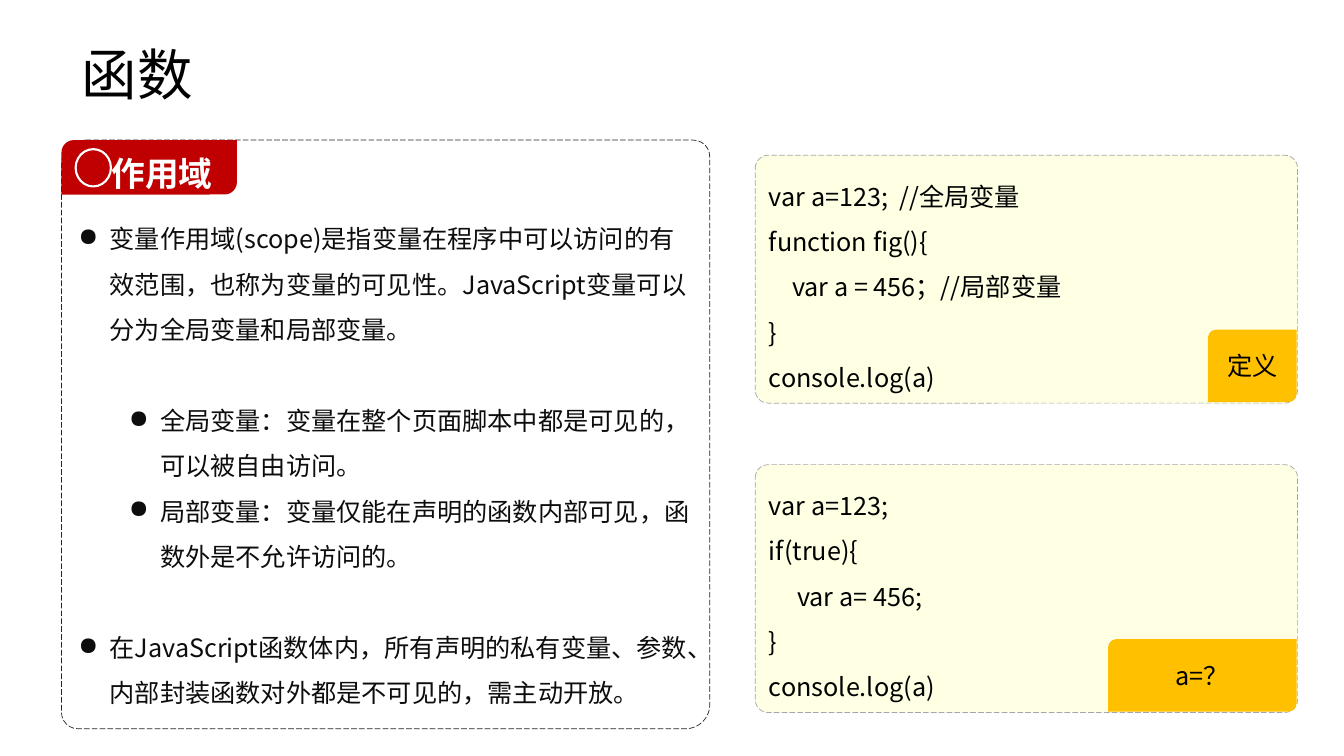
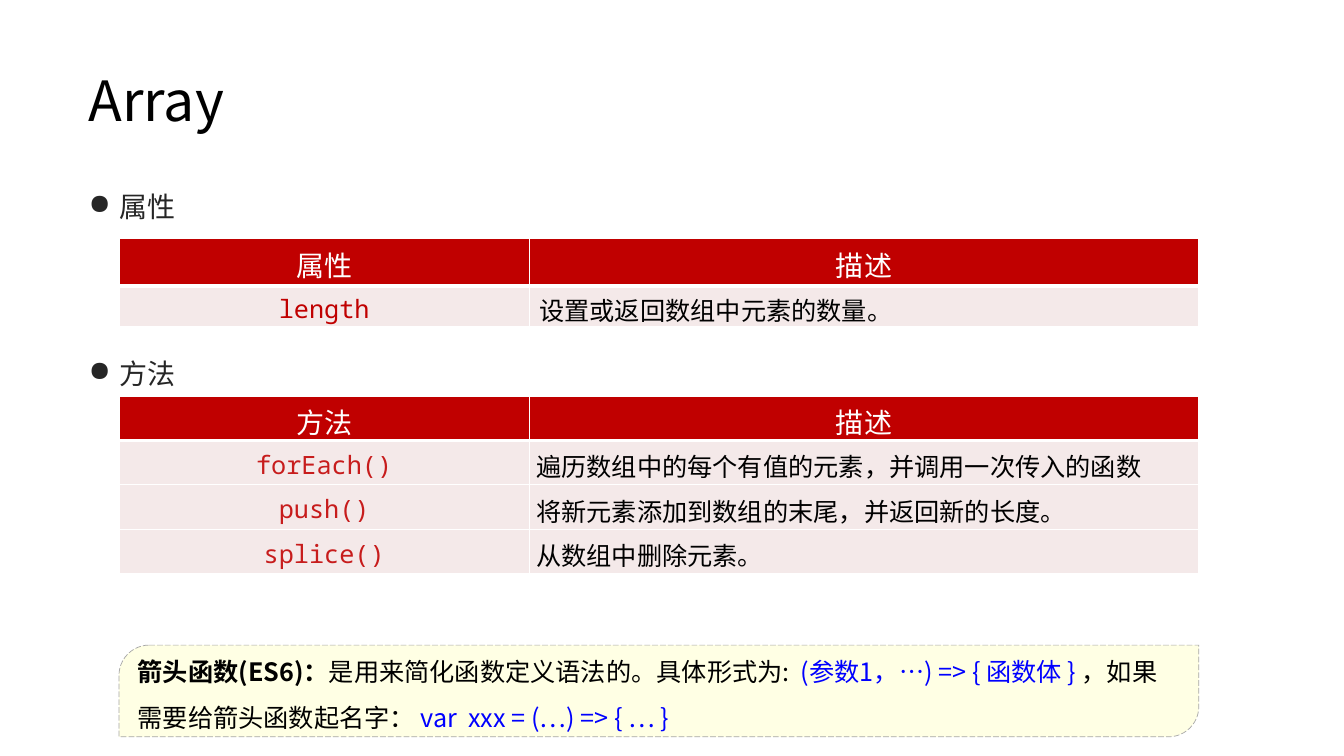
import dataclasses

import lxml.etree
import pptx
import pptx.dml.color
import pptx.enum.dml
import pptx.enum.shapes
import pptx.enum.text
import pptx.oxml.ns
import pptx.util

Inches = pptx.util.Inches
Pt = pptx.util.Pt
qn = pptx.oxml.ns.qn
Shapes = pptx.enum.shapes.MSO_SHAPE
Align = pptx.enum.text.PP_ALIGN
Anchor = pptx.enum.text.MSO_ANCHOR


@dataclasses.dataclass(frozen=True)
class Theme:
    black: str = "000000"
    white: str = "FFFFFF"
    body: str = "0D0D0D"
    dark: str = "262626"
    grey: str = "A6A6A6"
    red: str = "C00000"
    method_red: str = "C71C1C"
    blue: str = "0000FF"
    cream: str = "FFFFE4"
    amber: str = "FFC000"
    pink: str = "F4E9E9"
    title_font: str = "Noto Sans CJK SC"
    text_font: str = "Noto Sans CJK JP"
    code_font: str = "Noto Sans Mono"
    title_size: float = 39.6
    label_size: float = 24
    heading_size: float = 20
    text_size: float = 18


theme = Theme()


def write_text(frame, paragraphs, margins=None, anchor=Anchor.MIDDLE, **base):
    """Each paragraph is (runs, settings); each run is (text, format)."""
    frame.word_wrap = True
    frame.vertical_anchor = anchor
    for side, inches in (margins or {}).items():
        setattr(frame, f"margin_{side}", Inches(inches))
    for index, (runs, settings) in enumerate(paragraphs):
        paragraph = frame.paragraphs[0] if index == 0 else frame.add_paragraph()
        settings = {"alignment": Align.LEFT, "line_spacing": 1.5, **settings}
        indent = settings.pop("indent", 0)
        bullet = settings.pop("bullet", False)
        for name, value in settings.items():
            setattr(paragraph, name, value)
        properties = paragraph._p.get_or_add_pPr()
        properties.set("marL", str(Inches(indent)))
        properties.set("indent", str(Inches(-0.31 if bullet else 0)))
        if bullet:
            lxml.etree.SubElement(properties, qn("a:buChar")).set("char", "●")
        for text, changes in runs:
            look = {"size": theme.text_size, "color": theme.black, "bold": False,
                    "name": theme.text_font, **base, **changes}
            run = paragraph.add_run()
            run.text = text
            run.font.color.rgb = pptx.dml.color.RGBColor.from_string(look.pop("color"))
            look["size"] = Pt(look["size"])
            for name, value in look.items():
                setattr(run.font, name, value)
            east_asian = lxml.etree.SubElement(run._r.get_or_add_rPr(), qn("a:ea"))
            east_asian.set("typeface", look["name"])


def add_box(shapes, kind, place, adjustments=(), fill=None, line=None, width=0.5, dashed=True):
    shape = shapes.add_shape(kind, *map(Inches, place))
    shape.shadow.inherit = False
    for index, value in enumerate(adjustments):
        shape.adjustments[index] = value
    if fill:
        shape.fill.solid()
        shape.fill.fore_color.rgb = pptx.dml.color.RGBColor.from_string(fill)
    else:
        shape.fill.background()
    if line:
        shape.line.color.rgb = pptx.dml.color.RGBColor.from_string(line)
        shape.line.width = Pt(width)
        if dashed:
            shape.line.dash_style = pptx.enum.dml.MSO_LINE.LONG_DASH
    else:
        shape.line.fill.background()
    return shape


presentation = pptx.Presentation()
presentation.slide_width = Inches(13.33)
presentation.slide_height = Inches(7.5)

# Titles
slides = []
for title, place in (("函数", (0.71, 0.48, 11.7, 0.57)), ("Array", (0.78, 0.74, 11.8, 0.57))):
    slide = presentation.slides.add_slide(presentation.slide_layouts[5])
    placeholder = slide.shapes.title
    for name, value in zip(("left", "top", "width", "height"), place):
        setattr(placeholder, name, Inches(value))
    write_text(placeholder.text_frame, [([(title, {})], {"line_spacing": 0.9})],
               size=theme.title_size, name=theme.title_font)
    slides.append(slide)
function_slide, array_slide = slides

# Code boxes, each with a tag in its lower right corner
code_boxes = [
    (1.54, "定义", 0.88,
     [("var a=123;  //全局变量", 0), ("function fig(){", 0),
      ("var a = 456；//局部变量", 0.23), ("}", 0), ("console.log(a)", 0)]),
    (4.61, "a=？", 1.87,
     [("var a=123;", 0), ("if(true){", 0), ("var a= 456;", 0.28),
      ("}", 0), ("console.log(a)", 0)]),
]
for top, tag_text, tag_width, code_lines in code_boxes:
    group = function_slide.shapes.add_group_shape()
    code_box = add_box(group.shapes, Shapes.ROUNDED_RECTANGLE, (7.49, top, 5.38, 2.46),
                       (0.053,), theme.cream, theme.grey)
    write_text(code_box.text_frame,
               [([(text, {})], {"indent": indent}) for text, indent in code_lines],
               {"top": 0, "bottom": 0})
    tag = add_box(group.shapes, Shapes.ROUND_2_DIAG_RECTANGLE,
                  (12.86 - tag_width, top + 1.73, tag_width, 0.72), (0.114, 0), theme.amber)
    write_text(tag.text_frame,
               [([(tag_text, {})], {"alignment": Align.CENTER, "line_spacing": 1.0})])

# Scope panel: the larger gaps are one line high
line_gap = Pt(32.5)
scope_points = [
    ("变量作用域(scope)是指变量在程序中可以访问的有效范围，也称为变量的可见性。"
     "JavaScript变量可以分为全局变量和局部变量。", 0.31, Pt(6)),
    ("全局变量：变量在整个页面脚本中都是可见的，可以被自由访问。", 0.81, line_gap),
    ("局部变量：变量仅能在声明的函数内部可见，函数外是不允许访问的。", 0.81, Pt(0)),
    ("在JavaScript函数体内，所有声明的私有变量、参数、内部封装函数对外都是不可见的，需主动开放。",
     0.31, line_gap),
]
group = function_slide.shapes.add_group_shape()
panel = add_box(group.shapes, Shapes.ROUND_2_DIAG_RECTANGLE, (0.61, 1.39, 6.43, 5.84),
                (0.041, 0.028), line=theme.dark)
write_text(panel.text_frame,
           [([(text, {})], {"indent": indent, "space_before": gap, "bullet": True})
            for text, indent, gap in scope_points],
           {"top": 0.63, "bottom": 0.16}, color=theme.body)
label = add_box(group.shapes, Shapes.ROUND_2_DIAG_RECTANGLE, (0.61, 1.39, 1.74, 0.54),
                (0.227, 0), theme.red)
write_text(label.text_frame, [([("作用域", {})], {})],
           {"left": 0.46, "right": 0.04, "top": 0, "bottom": 0.08},
           size=theme.label_size, color=theme.white, bold=True)
add_box(group.shapes, Shapes.OVAL, (0.75, 1.48, 0.35, 0.37),
        line=theme.white, width=1.5, dashed=False)

# Section headings
for text, top in (("属性", 1.66), ("方法", 3.32)):
    heading = array_slide.shapes.add_textbox(*map(Inches, (0.78, top, 11.8, 0.57)))
    write_text(heading.text_frame,
               [([(text, {})], {"indent": 0.31, "space_before": Pt(4), "bullet": True})],
               anchor=Anchor.TOP, size=theme.heading_size, color=theme.dark)

# Tables: top, row heights, body cell margin, code colour, rows
tables = [
    (2.37, (0.47, 0.39), None, theme.red,
     [("属性", "描述"), ("length", "设置或返回数组中元素的数量。")]),
    (3.93, (0.44, 0.37, 0.37, 0.37), 0.07, theme.method_red,
     [("方法", "描述"),
      ("forEach()", "遍历数组中的每个有值的元素，并调用一次传入的函数"),
      ("push()", "将新元素添加到数组的末尾，并返回新的长度。"),
      ("splice()", "从数组中删除元素。")]),
]
for top, heights, cell_margin, code_color, rows in tables:
    table = array_slide.shapes.add_table(
        len(rows), 2, *map(Inches, (1.18, top, 10.71, sum(heights)))).table
    table.horz_banding = False
    for column, width in zip(table.columns, (4.07, 6.64)):
        column.width = Inches(width)
    for row_index, (height, texts) in enumerate(zip(heights, rows)):
        table.rows[row_index].height = Inches(height)
        is_header = row_index == 0
        for column_index, text in enumerate(texts):
            cell = table.cell(row_index, column_index)
            is_code = column_index == 0 and not is_header
            look = {}
            if is_header:
                look = {"size": theme.heading_size, "color": theme.white,
                        "name": (theme.text_font, theme.title_font)[column_index]}
            elif is_code:
                look = {"color": code_color, "name": theme.code_font}
            centered = is_header or is_code
            write_text(cell.text_frame,
                       [([(text, look)], {"line_spacing": 1.0,
                                          "alignment": Align.CENTER if centered else Align.LEFT})])
            cell.vertical_anchor = Anchor.MIDDLE
            if cell_margin and not is_header:
                for side in ("left", "right", "top", "bottom"):
                    setattr(cell, f"margin_{side}", Inches(cell_margin))
            # White borders, thicker below the header
            properties = cell._tc.get_or_add_tcPr()
            for side in "LRTB":
                border = lxml.etree.SubElement(properties, qn(f"a:ln{side}"))
                border.set("w", str(Pt(3 if is_header and side == "B" else 1)))
                border_fill = lxml.etree.SubElement(border, qn("a:solidFill"))
                lxml.etree.SubElement(border_fill, qn("a:srgbClr")).set("val", theme.white)
            cell.fill.solid()
            cell.fill.fore_color.rgb = pptx.dml.color.RGBColor.from_string(
                theme.red if is_header else theme.pink)

# Arrow function note
note = add_box(array_slide.shapes, Shapes.ROUND_2_DIAG_RECTANGLE, (1.18, 6.4, 10.71, 0.91),
               (0.33, 0), theme.cream, theme.grey)
write_text(note.text_frame,
           [([("箭头函数(ES6)：", {"bold": True}),
              ("是用来简化函数定义语法的。具体形式为:  ", {}),
              ("(参数1，…) => { 函数体 } ", {"color": theme.blue}),
              ("，如果需要给箭头函数起名字： ", {}),
              ("var  xxx = (…) => { … }", {"color": theme.blue})], {})],
           {"top": 0, "bottom": 0.08})

presentation.save("out.pptx")
